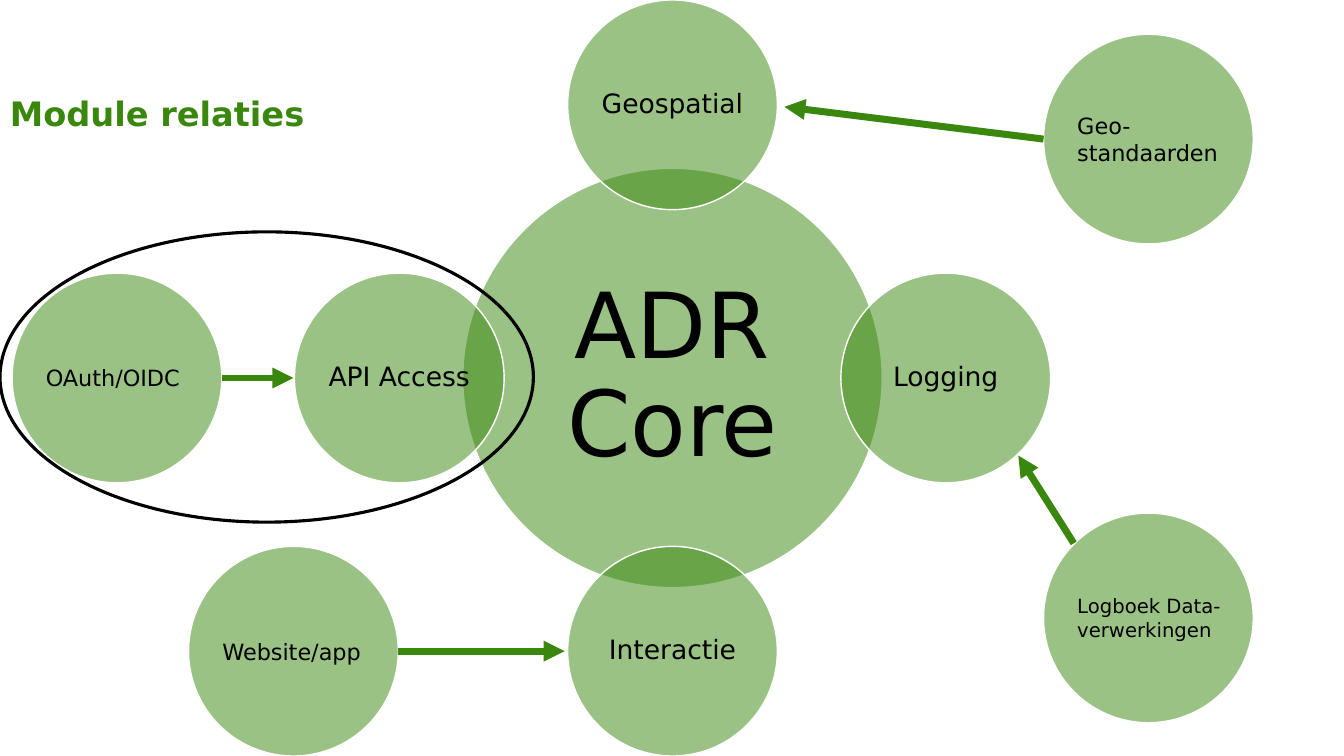
from dataclasses import dataclass
from typing import Optional

import lxml.etree
import pptx
import pptx.dml.color
import pptx.enum.shapes
import pptx.enum.text
import pptx.oxml.ns
import pptx.util

PX = 9144  # EMU per px, 100 px to the inch
CENTER_X, CENTER_Y = 667, 375
CORE_SIZE, MODULE_SIZE = 416, 208
ORBIT = 271
ALIGN = pptx.enum.text.PP_ALIGN
ANCHOR = pptx.enum.text.MSO_ANCHOR


@dataclass(frozen=True)
class Theme:
    font: str = "DejaVu Sans"
    green: str = "39870C"
    black: str = "000000"
    white: str = "FFFFFF"
    opacity: int = 50
    title: int = 24
    core: int = 65
    module: int = 19
    standard: int = 16
    small: int = 14
    outline: float = 1
    ring: float = 2.25
    arrow: float = 5


@dataclass(frozen=True)
class Circle:
    text: str
    center_x: int
    center_y: int
    points: int
    size: int = MODULE_SIZE
    centered: bool = False


@dataclass(frozen=True)
class Arrow:
    from_x: int
    from_y: int
    to_x: int
    to_y: int


THEME = Theme()

CIRCLES = [
    Circle("ADR Core", CENTER_X, CENTER_Y, THEME.core, CORE_SIZE, True),
    *(
        Circle(text, CENTER_X + across * ORBIT, CENTER_Y + down * ORBIT, THEME.module, centered=True)
        for text, across, down in [
            ("Geospatial", 0, -1),
            ("Logging", 1, 0),
            ("Interactie", 0, 1),
            ("API Access", -1, 0),
        ]
    ),
    Circle("Geo-standaarden", 1139, 138, THEME.standard),
    Circle("Logboek Data-verwerkingen", 1139, 613, THEME.small),
    Circle("OAuth/OIDC", 116, CENTER_Y, THEME.standard),
    Circle("Website/app", 291, CENTER_Y + ORBIT, THEME.standard),
]

ARROWS = [
    Arrow(220, 375, 291, 375),
    Arrow(1035, 138, 778, 106),
    Arrow(1065, 539, 1010, 452),
    Arrow(395, 646, 560, 646),
]


def px(length: int) -> int:
    return length * PX


def rgb(color: str) -> pptx.dml.color.RGBColor:
    return pptx.dml.color.RGBColor.from_string(color)


def add_ellipse(slide, left: int, top: int, width: int, height: int,
                fill: Optional[str], line: str, line_points: float):
    """Add an ellipse; a filled one is translucent."""
    shape = slide.shapes.add_shape(
        pptx.enum.shapes.MSO_SHAPE.OVAL, px(left), px(top), px(width), px(height))
    shape.shadow.inherit = False
    shape.line.color.rgb = rgb(line)
    shape.line.width = pptx.util.Pt(line_points)
    if fill is None:
        shape.fill.background()
    else:
        shape.fill.solid()
        shape.fill.fore_color.rgb = rgb(fill)
        color = shape.fill._xPr.find(".//" + pptx.oxml.ns.qn("a:srgbClr"))
        lxml.etree.SubElement(
            color, pptx.oxml.ns.qn("a:alpha"), val=str(THEME.opacity * 1000))
    return shape


def set_text(shape, text: str, points: int, color: str, alignment, anchor):
    frame = shape.text_frame
    frame.word_wrap = True
    frame.vertical_anchor = anchor
    paragraph = frame.paragraphs[0]
    paragraph.text = text
    paragraph.alignment = alignment
    paragraph.font.name = THEME.font
    paragraph.font.size = pptx.util.Pt(points)
    paragraph.font.color.rgb = rgb(color)
    return paragraph


def add_title(slide, text: str) -> None:
    box = slide.shapes.add_textbox(0, 0, px(556), px(138))
    paragraph = set_text(box, text, THEME.title, THEME.green, ALIGN.LEFT, ANCHOR.BOTTOM)
    paragraph.font.bold = True
    paragraph.line_spacing = 0.9


def add_circle(slide, circle: Circle) -> None:
    shape = add_ellipse(
        slide, circle.center_x - circle.size // 2, circle.center_y - circle.size // 2,
        circle.size, circle.size, THEME.green, THEME.white, THEME.outline)
    frame = shape.text_frame
    frame.margin_top = frame.margin_bottom = px(3)
    frame.margin_left = px(0 if circle.centered else 3)
    frame.margin_right = 0
    alignment = ALIGN.CENTER if circle.centered else ALIGN.LEFT
    paragraph = set_text(
        shape, circle.text, circle.points, THEME.black, alignment, ANCHOR.MIDDLE)
    if circle.centered:
        paragraph.line_spacing = 0.9


def add_arrow(slide, arrow: Arrow) -> None:
    connector = slide.shapes.add_connector(
        pptx.enum.shapes.MSO_CONNECTOR.STRAIGHT,
        px(arrow.from_x), px(arrow.from_y), px(arrow.to_x), px(arrow.to_y))
    connector.line.color.rgb = rgb(THEME.green)
    connector.line.width = pptx.util.Pt(THEME.arrow)
    lxml.etree.SubElement(
        connector.line._get_or_add_ln(), pptx.oxml.ns.qn("a:tailEnd"), type="triangle")
    lxml.etree.SubElement(connector._element.spPr, pptx.oxml.ns.qn("a:effectLst"))


def main() -> None:
    presentation = pptx.Presentation()
    presentation.slide_width = px(1333)
    presentation.slide_height = px(750)
    slide = presentation.slides.add_slide(presentation.slide_layouts[6])
    add_title(slide, "Module relaties")
    for circle in CIRCLES:
        add_circle(slide, circle)
    for arrow in ARROWS:
        add_arrow(slide, arrow)
    add_ellipse(slide, 0, 230, 529, 288, None, THEME.black, THEME.ring)
    presentation.save("out.pptx")


if __name__ == "__main__":
    main()
